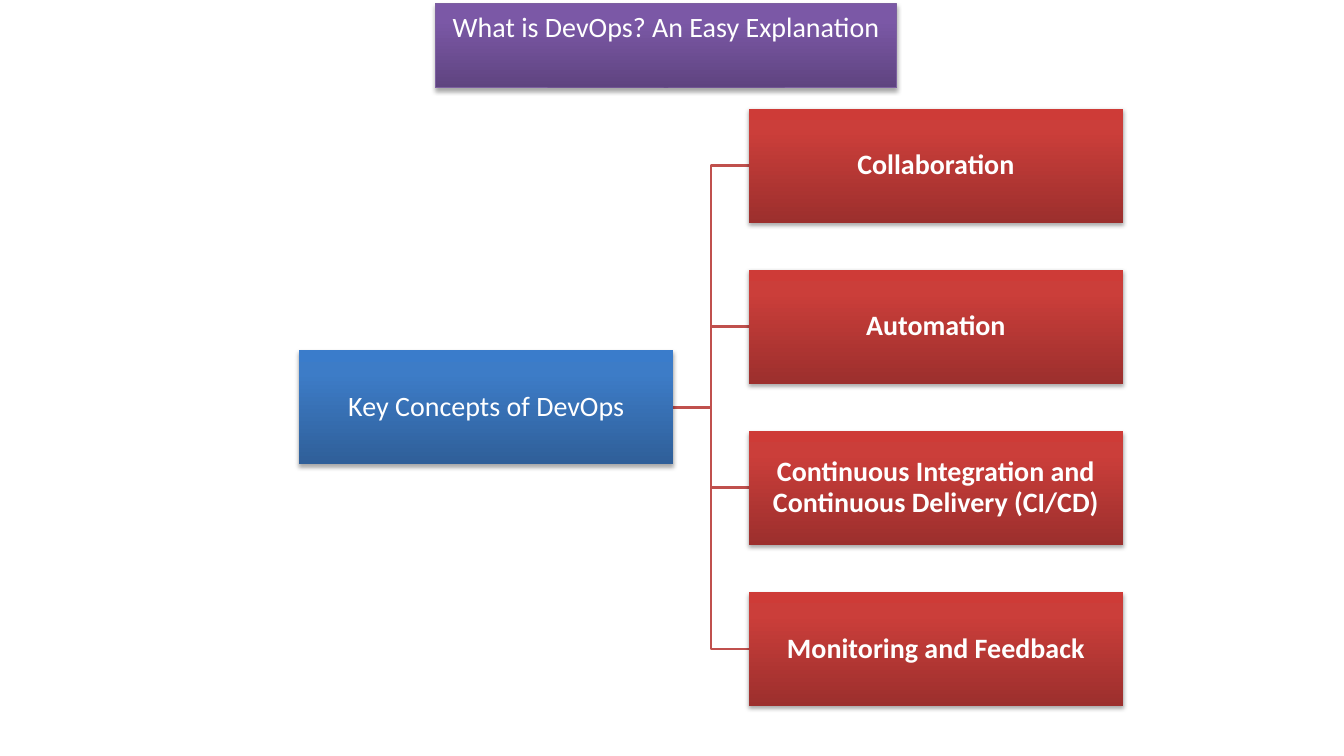
from copy import deepcopy
from dataclasses import dataclass

from lxml import etree
from pptx import Presentation
from pptx import util as u
from pptx.dml.color import RGBColor
from pptx.enum import shapes, text
from pptx.oxml import ns

COLOURS = {
    "text": "FFFFFF",
    "shadow": "000000",
    "branch": "C0504D",
    "title_line": "7D60A0",
}
GRADIENTS = {
    "title": ("5F4480", "7B58A6", "7C57A8"),
    "root": ("2F5F99", "3D7CC7", "3A7CCB"),
    "concept": ("9C2F2D", "CB3E3A", "CE3B37"),
}
STOP_POSITIONS = (0, 0.8, 1)

CARD_WIDTH, CARD_HEIGHT = 9.43, 2.87
ROOT_LEFT, CONCEPT_LEFT = 7.54, 18.87
FIRST_TOP, ROW_PITCH = 2.74, 4.06
CONCEPTS = (
    "Collaboration",
    "Automation",
    "Continuous Integration and Continuous Delivery (CI/CD)",
    "Monitoring and Feedback",
)


@dataclass(frozen=True)
class Card:
    wording: str
    left: float
    top: float
    gradient: str
    bold: bool = False

    @property
    def middle(self) -> float:
        return self.top + CARD_HEIGHT / 2


def fill_gradient(box, name: str) -> None:
    box.fill.gradient()
    box.fill.gradient_angle = 90
    stop_list = box._element.spPr.find(".//" + ns.qn("a:gsLst"))
    stop_list.append(deepcopy(stop_list[-1]))
    for stop, position, colour in zip(box.fill.gradient_stops, STOP_POSITIONS, GRADIENTS[name]):
        stop.position = position
        stop.color.rgb = RGBColor.from_string(colour)


def cast_shadow(box) -> None:
    box.shadow.inherit = False
    effects = box._element.spPr.find(ns.qn("a:effectLst"))
    shadow = etree.SubElement(
        effects, ns.qn("a:outerShdw"),
        blurRad=str(u.Pt(3.1)), dist=str(u.Pt(1.8)), dir="5400000", rotWithShape="0",
    )
    colour = etree.SubElement(shadow, ns.qn("a:srgbClr"), val=COLOURS["shadow"])
    etree.SubElement(colour, ns.qn("a:alpha"), val="35000")


def write(box, wording: str, bold: bool = False):
    box.text_frame.word_wrap = True
    para = box.text_frame.paragraphs[0]
    para.alignment = text.PP_ALIGN.CENTER
    span = para.add_run()
    span.text = wording
    span.font.name = "Calibri"
    span.font.size = u.Pt(20)
    span.font.bold = bold
    span.font.color.rgb = RGBColor.from_string(COLOURS["text"])
    return para


def draw_title(page) -> None:
    box = page.shapes.title
    box.left, box.top = u.Cm(10.97), u.Cm(0.1)
    box.width, box.height = u.Cm(11.63), u.Cm(1.12)
    fill_gradient(box, "title")
    box.line.color.rgb = RGBColor.from_string(COLOURS["title_line"])
    box.line.width = u.Pt(0.75)
    cast_shadow(box)
    write(box, "What is DevOps? An Easy Explanation")
    box.text_frame.vertical_anchor = text.MSO_ANCHOR.TOP
    box.text_frame.auto_size = text.MSO_AUTO_SIZE.SHAPE_TO_FIT_TEXT


def draw_card(page, card: Card) -> None:
    box = page.shapes.add_shape(
        shapes.MSO_SHAPE.RECTANGLE,
        u.Cm(card.left), u.Cm(card.top), u.Cm(CARD_WIDTH), u.Cm(CARD_HEIGHT),
    )
    fill_gradient(box, card.gradient)
    box.line.fill.background()
    cast_shadow(box)
    frame = box.text_frame
    frame.margin_left = frame.margin_right = u.Cm(0.03)
    frame.margin_top = frame.margin_bottom = u.Cm(0.03)
    frame.vertical_anchor = text.MSO_ANCHOR.MIDDLE
    write(box, card.wording, card.bold).line_spacing = 0.9


def draw_branch(page, root: Card, concept: Card) -> None:
    start = root.left + CARD_WIDTH
    bend = (start + concept.left) / 2
    outline = page.shapes.build_freeform(u.Cm(start), u.Cm(root.middle))
    corners = ((bend, root.middle), (bend, concept.middle), (concept.left, concept.middle))
    outline.add_line_segments([(u.Cm(x), u.Cm(y)) for x, y in corners], close=False)
    branch = outline.convert_to_shape()
    branch.shadow.inherit = False
    branch.fill.background()
    branch.line.color.rgb = RGBColor.from_string(COLOURS["branch"])
    branch.line.width = u.Pt(2)


def main() -> None:
    deck = Presentation()
    deck.slide_width, deck.slide_height = u.Cm(33.87), u.Cm(19.05)
    page = deck.slides.add_slide(deck.slide_layouts[5])
    draw_title(page)

    concepts = [
        Card(wording, CONCEPT_LEFT, FIRST_TOP + row * ROW_PITCH, "concept", bold=True)
        for row, wording in enumerate(CONCEPTS)
    ]
    root_top = (concepts[0].top + concepts[-1].top) / 2
    root = Card("Key Concepts of DevOps", ROOT_LEFT, root_top, "root")
    for concept in reversed(concepts):
        draw_branch(page, root, concept)
    for card in (root, *concepts):
        draw_card(page, card)

    deck.save("out.pptx")


if __name__ == "__main__":
    main()
